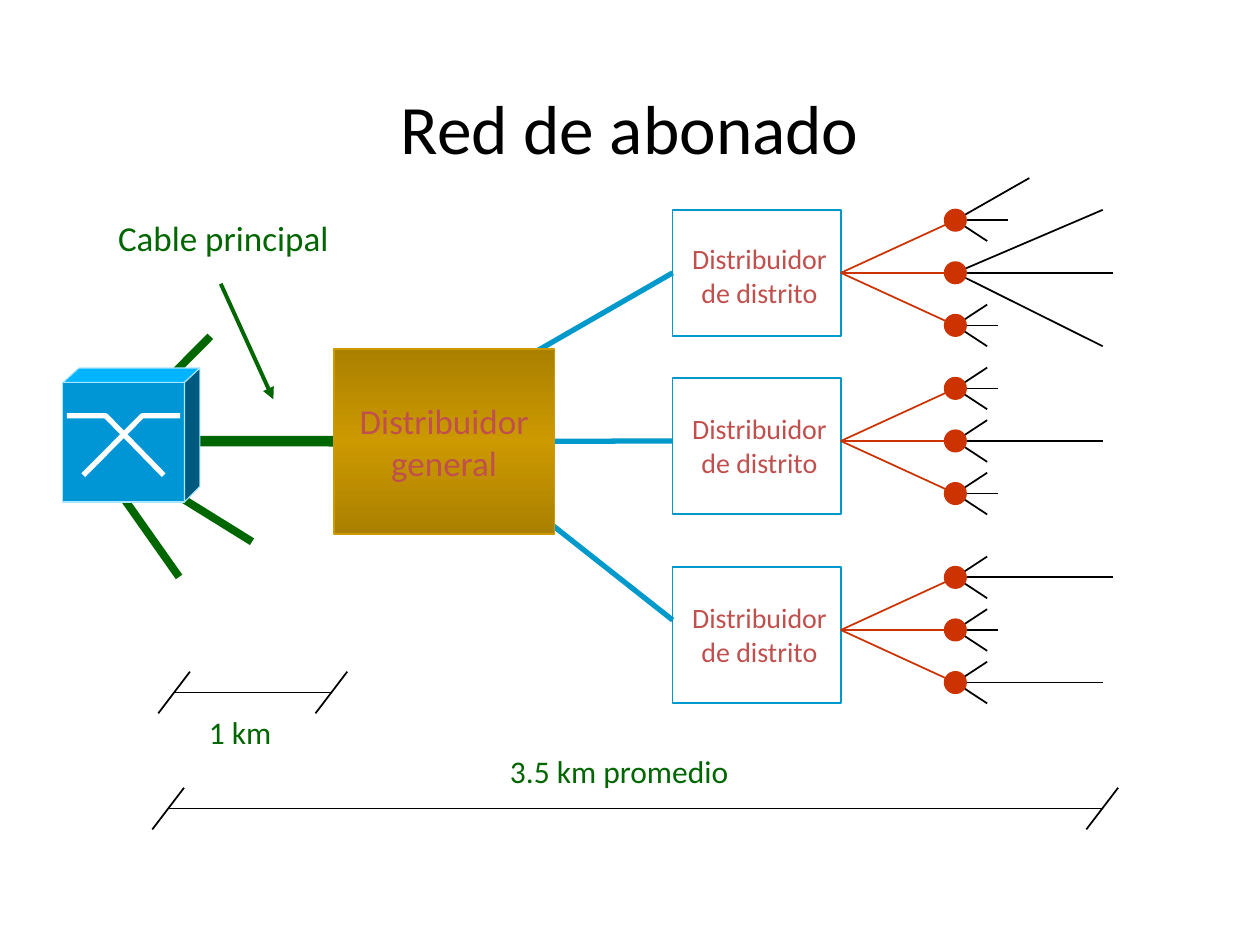
import copy

import lxml.etree
import pptx
import pptx.dml.color
import pptx.enum.dml
import pptx.enum.shapes
import pptx.enum.text
import pptx.oxml.ns
import pptx.util

Cm, Pt = pptx.util.Cm, pptx.util.Pt
RGBColor = pptx.dml.color.RGBColor
SHAPE = pptx.enum.shapes.MSO_SHAPE
ALIGN = pptx.enum.text.PP_ALIGN
qn = pptx.oxml.ns.qn

BLACK = RGBColor(0x00, 0x00, 0x00)
WHITE = RGBColor(0xFF, 0xFF, 0xFF)
GREEN = RGBColor(0x00, 0x66, 0x00)
TEAL = RGBColor(0x00, 0x99, 0xCC)
ORANGE = RGBColor(0xCC, 0x33, 0x00)
BRICK = RGBColor(0xC0, 0x50, 0x4D)
GOLD = RGBColor(0xCC, 0x99, 0x00)
DARK_GOLD = RGBColor(0xAB, 0x80, 0x00)
SWITCH_FRONT = RGBColor(0x00, 0x96, 0xD5)
SWITCH_TOP = RGBColor(0x00, 0xB4, 0xFF)
SWITCH_SIDE = RGBColor(0x00, 0x5A, 0x80)
SWITCH_EDGE = RGBColor(0xAA, 0xE6, 0xFF)

deck = pptx.Presentation()
deck.slide_width, deck.slide_height = Cm(25.4), Cm(19.05)
page = deck.slides.add_slide(deck.slide_layouts[5])


def draw_line(x1, y1, x2, y2, color=BLACK, width=1):
    """Draw a straight connector between two points given in centimetres."""
    line = page.shapes.add_connector(
        pptx.enum.shapes.MSO_CONNECTOR.STRAIGHT, Cm(x1), Cm(y1), Cm(x2), Cm(y2))
    line.line.color.rgb = color
    line.line.width = Pt(width)
    lxml.etree.SubElement(line._element.spPr, qn("a:effectLst"))
    return line


def write(box, text, size, color, align=ALIGN.LEFT):
    """Fill a shape with one unwrapped paragraph."""
    box.text_frame.word_wrap = False
    para = box.text_frame.paragraphs[0]
    para.text = text
    para.alignment = align
    para.font.name = "Calibri"
    para.font.size = Pt(size)
    para.font.color.rgb = color


title = page.shapes.title
title.left, title.top, title.width, title.height = Cm(1.9), Cm(1.7), Cm(21.59), Cm(1.7)
write(title, "Red de abonado", 39.6, BLACK, ALIGN.CENTER)
title.text_frame.vertical_anchor = pptx.enum.text.MSO_ANCHOR.MIDDLE

# Cables lie behind the switch and the general distributor
upper_trunk = draw_line(9.53, 7.82, 13.56, 5.5, TEAL, 3)
middle_trunk = draw_line(11.18, 8.89, 13.56, 8.89, TEAL, 3)
draw_line(9.53, 9.32, 13.56, 12.5, TEAL, 3)
draw_line(2.13, 9.09, 5.08, 10.92, GREEN, 4.5)
draw_line(2.77, 8.26, 4.24, 6.78, GREEN, 4.5)
draw_line(2.13, 9.53, 3.61, 11.63, GREEN, 4.5)
main_cable = draw_line(2.77, 8.89, 6.73, 8.89, GREEN, 6)

general = page.shapes.add_shape(SHAPE.RECTANGLE, Cm(6.73), Cm(7.03), Cm(4.45), Cm(3.73))
general.shadow.inherit = False
general.line.color.rgb = GOLD
general.line.width = Pt(1)
general.fill.gradient()
general.fill.gradient_angle = 90
stop_list = general._element.spPr.find(".//" + qn("a:gsLst"))
stop_list.insert(1, copy.deepcopy(stop_list[0]))
for stop, position, color in zip(
        general.fill.gradient_stops, (0, 0.5, 1), (DARK_GOLD, GOLD, DARK_GOLD)):
    stop.position = position
    stop.color.rgb = color
write(general, "Distribuidor\ngeneral", 20, BRICK, ALIGN.CENTER)
main_cable.end_connect(general, 1)
middle_trunk.begin_connect(general, 3)

arrow = draw_line(4.45, 5.72, 5.51, 8.05, GREEN, 2.25)
lxml.etree.SubElement(arrow._element.spPr.find(qn("a:ln")), qn("a:tailEnd"), type="triangle")

# Switch: three faces and the crossing strokes
switch_parts = [
    ([(1.27, 7.71), (3.72, 7.71), (3.72, 10.12), (1.27, 10.12)], SWITCH_FRONT),
    ([(1.27, 7.71), (1.59, 7.42), (4.03, 7.42), (3.72, 7.71)], SWITCH_TOP),
    ([(3.72, 7.71), (4.03, 7.42), (4.03, 9.81), (3.72, 10.12)], SWITCH_SIDE),
    ([(1.35, 8.38), (2.13, 8.38), (3.3, 9.58)], None),
    ([(3.63, 8.38), (2.87, 8.38), (1.68, 9.58)], None),
]
for points, fill in switch_parts:
    corners = [(Cm(x), Cm(y)) for x, y in points]
    outline = page.shapes.build_freeform(*corners[0])
    outline.add_line_segments(corners[1:], close=fill is not None)
    part = outline.convert_to_shape()
    part.shadow.inherit = False
    if fill is None:
        part.fill.background()
        part.line.color.rgb = WHITE
        part.line.width = Pt(3)
    else:
        part.fill.solid()
        part.fill.fore_color.rgb = fill
        part.line.color.rgb = SWITCH_EDGE
        part.line.width = Pt(0.63)

# Subscriber lines of a node, as offsets from its centre
SHORT, LONG, LONGEST = 0.85, 2.97, 3.18
TWIG_X, TWIG_Y = 0.64, 0.42


NODE_X, NODE_GAP, NODE_SIZE = 19.26, 1.06, 0.43
DISTRICT_LEFT, DISTRICT_WIDTH = 13.56, 3.39
top_node = [(1.49, -0.85), (1.07, 0), (TWIG_X, TWIG_Y)]
wide_node = [(LONG, -1.27), (LONGEST, 0), (LONG, 1.48)]
short_node, long_node, longest_node = (
    [(TWIG_X, -TWIG_Y), (reach, 0), (TWIG_X, TWIG_Y)] for reach in (SHORT, LONG, LONGEST))

# Hub height, box top, box height, label top, nodes
districts = [
    (5.5, 4.23, 2.54, 4.75, [top_node, wide_node, short_node]),
    (8.89, 7.62, 2.75, 8.18, [short_node, long_node, short_node]),
    (12.7, 11.43, 2.75, 11.99, [longest_node, short_node, long_node]),
]
for hub_y, top, height, label_top, nodes in districts:
    box = page.shapes.add_shape(
        SHAPE.RECTANGLE, Cm(DISTRICT_LEFT), Cm(top), Cm(DISTRICT_WIDTH), Cm(height))
    box.shadow.inherit = False
    box.fill.background()
    box.line.color.rgb = TEAL
    box.line.width = Pt(1)
    label = page.shapes.add_textbox(Cm(13.67), Cm(label_top), Cm(3.28), Cm(1.62))
    write(label, "Distribuidor\nde distrito", 16, BRICK, ALIGN.CENTER)
    hub_is_middle = abs(top + height / 2 - hub_y) < 0.02
    if hub_is_middle:
        upper_trunk.end_connect(box, 1)

    for row, twigs in enumerate(nodes, start=-1):
        node_y = hub_y + row * NODE_GAP
        for dx, dy in twigs:
            draw_line(NODE_X, node_y, NODE_X + dx, node_y + dy)
        branch = draw_line(DISTRICT_LEFT + DISTRICT_WIDTH, hub_y, NODE_X, node_y, ORANGE)
        if hub_is_middle:
            branch.begin_connect(box, 3)
        node = page.shapes.add_shape(
            SHAPE.OVAL, Cm(NODE_X - NODE_SIZE / 2), Cm(node_y - NODE_SIZE / 2),
            Cm(NODE_SIZE), Cm(NODE_SIZE))
        node.shadow.inherit = False
        node.fill.solid()
        node.fill.fore_color.rgb = ORANGE
        node.line.color.rgb = ORANGE
        node.line.width = Pt(1)

# Distance lines with slanted end marks
for left, right, y in [(3.51, 6.68, 13.96), (3.39, 22.22, 16.3)]:
    draw_line(left, y, right, y)
    for x in (left, right):
        draw_line(x + 0.32, y - 0.42, x - 0.32, y + 0.42)

for text, left, top, width, height, size in [
        ("Cable principal", 2.13, 4.24, 5.18, 1.09, 20),
        ("1 km", 3.96, 14.25, 1.93, 1.02, 18),
        ("3.5 km promedio", 10.03, 15.04, 5.33, 1.02, 18)]:
    write(page.shapes.add_textbox(Cm(left), Cm(top), Cm(width), Cm(height)), text, size, GREEN)

deck.save("out.pptx")
